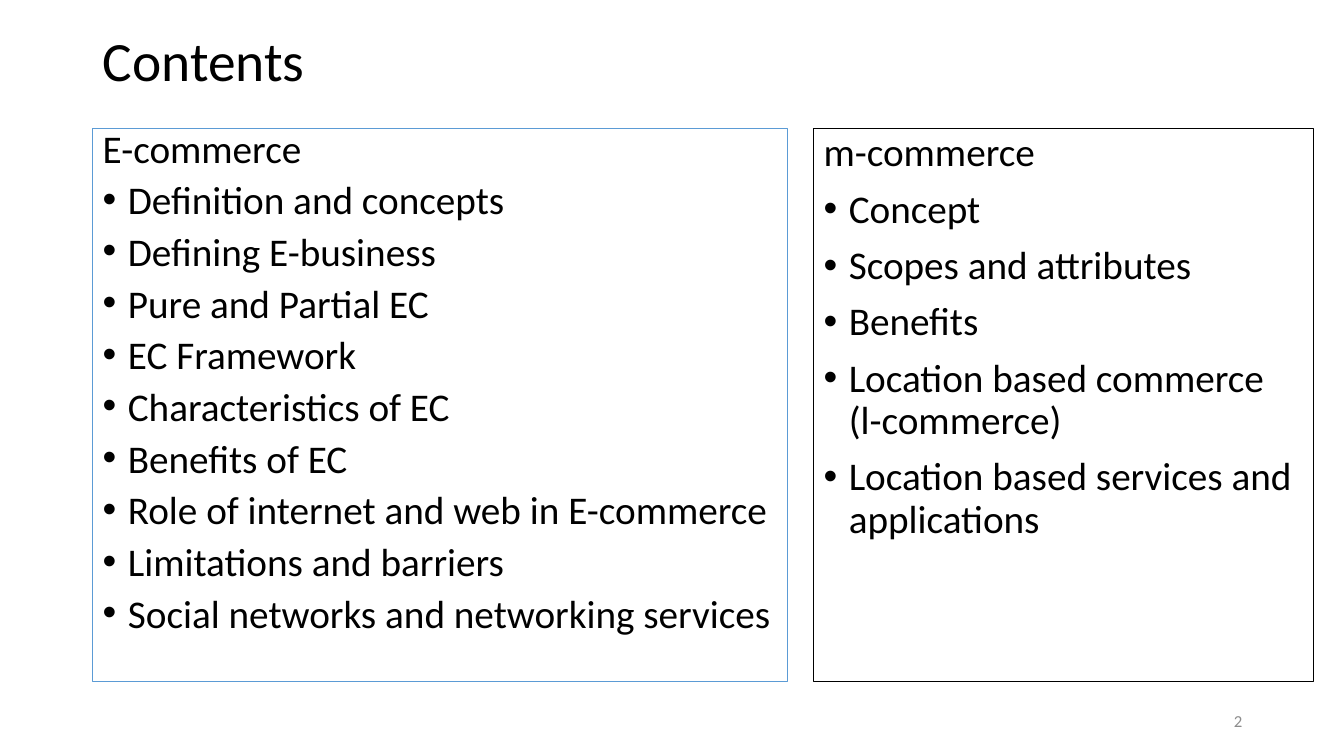
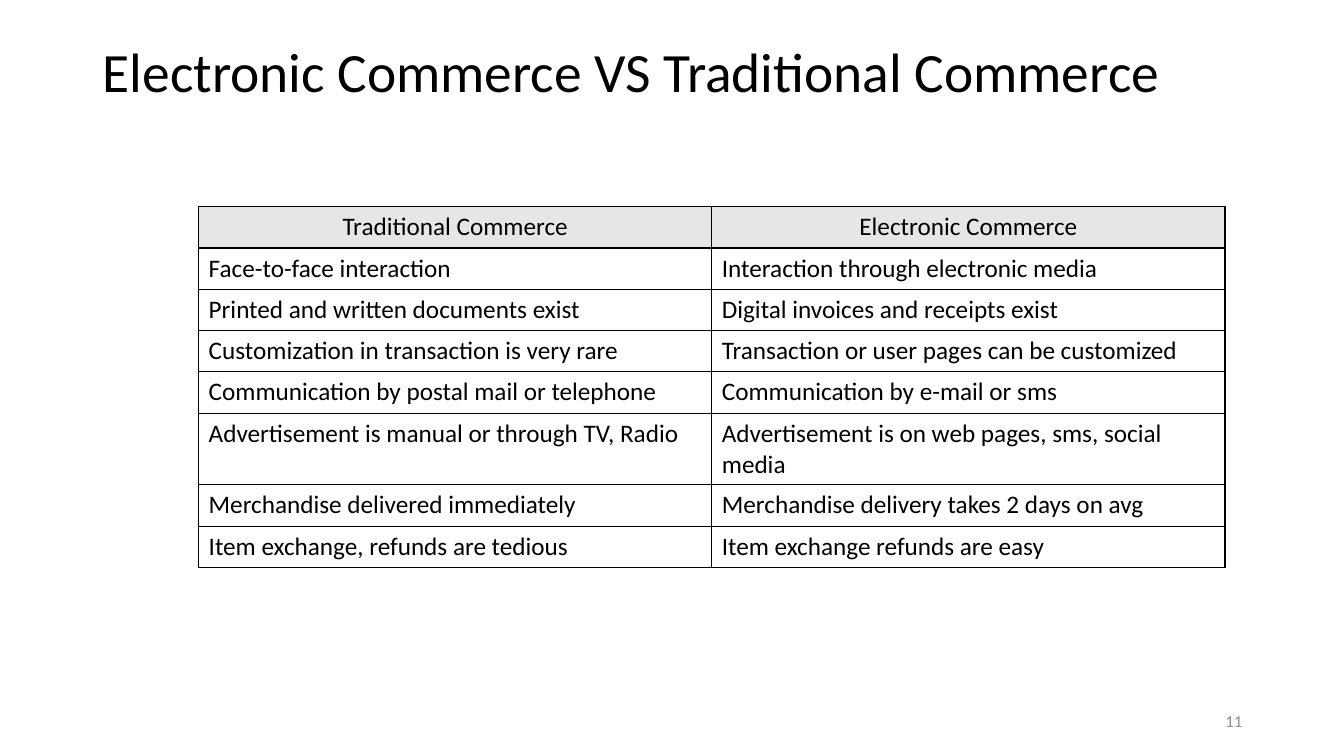
"""Builds two slides that introduce electronic commerce."""
from dataclasses import dataclass

from lxml import etree
from pptx import Presentation
from pptx.dml.color import RGBColor
from pptx.enum.shapes import MSO_SHAPE
from pptx.enum.text import MSO_ANCHOR, MSO_AUTO_SIZE, PP_ALIGN
from pptx.oxml.ns import qn
from pptx.slide import Slide
from pptx.table import _Cell
from pptx.text.text import TextFrame
from pptx.util import Emu, Pt

RECTANGLE = MSO_SHAPE.RECTANGLE
TOP, MIDDLE = MSO_ANCHOR.TOP, MSO_ANCHOR.MIDDLE
LEFT, CENTER, RIGHT = PP_ALIGN.LEFT, PP_ALIGN.CENTER, PP_ALIGN.RIGHT
NO_AUTOFIT = MSO_AUTO_SIZE.NONE

EMU_PER_PX = 9144
FONT = "Calibri"
COLORS = {
    "text": "000000",
    "page_number": "8C8C8C",
    "accent": "5B9BD5",
    "border": "000000",
    "header": "E7E6E6",
}
TITLE_LAYOUT = 5
MARGIN = 92
TITLE_TOP, TITLE_WIDTH = 40, 1150
PANEL_TOP, PANEL_HEIGHT = 127, 549
BULLET_INDENT = 25
TABLE_LEFT, TABLE_TOP = 197, 205
COLUMN_WIDTH, ROW_HEIGHT = 509, 41


@dataclass(frozen=True)
class TopicPanel:
    """An outlined list of topics under a heading."""

    left: int
    width: int
    outline: str
    line_spacing: float
    heading: str
    topics: tuple[str, ...]


PANELS = (
    TopicPanel(MARGIN, 689, "accent", 0.8, "E-commerce", (
        "Definition and concepts",
        "Defining E-business",
        "Pure and Partial EC",
        "EC Framework",
        "Characteristics of EC",
        "Benefits of EC",
        "Role of internet and web in E-commerce",
        "Limitations and barriers",
        "Social networks and networking services",
    )),
    TopicPanel(807, 496, "border", 0.9, "m-commerce", (
        "Concept",
        "Scopes and attributes",
        "Benefits",
        "Location based commerce (l-commerce)",
        "Location based services and applications",
    )),
)

COMPARISON = (
    ("Traditional Commerce", "Electronic Commerce"),
    ("Face-to-face interaction", "Interaction through electronic media"),
    ("Printed and written documents exist", "Digital invoices and receipts exist"),
    ("Customization in transaction is very rare",
     "Transaction or user pages can be customized"),
    ("Communication by postal mail or telephone", "Communication by e-mail or sms"),
    ("Advertisement is manual or through TV, Radio",
     "Advertisement is on web pages, sms, social media"),
    ("Merchandise delivered immediately", "Merchandise delivery takes 2 days on avg"),
    ("Item exchange, refunds are tedious", "Item exchange refunds are easy"),
)


def px(length: int) -> Emu:
    """Turns px into EMU."""
    return Emu(length * EMU_PER_PX)


def rgb(name: str) -> RGBColor:
    """Looks up a palette colour."""
    return RGBColor.from_string(COLORS[name])


def write(frame: TextFrame, text: str, *, size: float, color: str = "text",
          align: PP_ALIGN = LEFT, line_spacing: float = 1.0,
          space_before: int = 0, bullet: bool = False) -> None:
    """Fills the empty first paragraph or appends a new one."""
    first = frame.paragraphs[0]
    paragraph = frame.add_paragraph() if first.runs else first
    paragraph.alignment = align
    paragraph.line_spacing = line_spacing
    paragraph.space_before = Pt(space_before)
    run = paragraph.add_run()
    run.text = text
    run.font.name = FONT
    run.font.size = Pt(size)
    run.font.color.rgb = rgb(color)
    if bullet:
        properties = paragraph._p.get_or_add_pPr()
        properties.set("marL", str(px(BULLET_INDENT)))
        properties.set("indent", str(-px(BULLET_INDENT)))
        etree.SubElement(properties, qn("a:buFont"), typeface="Arial")
        etree.SubElement(properties, qn("a:buChar"), char="•")


def set_frame(frame: TextFrame, anchor: MSO_ANCHOR) -> None:
    """Makes a frame wrap at a fixed size."""
    frame.auto_size = NO_AUTOFIT
    frame.word_wrap = True
    frame.vertical_anchor = anchor


def add_titled_slide(deck: Presentation, title: str, title_height: int,
                     page_number: int) -> Slide:
    """Adds a slide with the shared title and page number."""
    slide = deck.slides.add_slide(deck.slide_layouts[TITLE_LAYOUT])
    heading = slide.shapes.title
    heading.left, heading.top = px(MARGIN), px(TITLE_TOP)
    heading.width, heading.height = px(TITLE_WIDTH), px(title_height)
    set_frame(heading.text_frame, MIDDLE)
    write(heading.text_frame, title, size=39.6, line_spacing=0.9)
    footer = slide.shapes.add_textbox(px(942), px(695), px(300), px(40))
    set_frame(footer.text_frame, MIDDLE)
    write(footer.text_frame, str(page_number), size=12, color="page_number",
          align=RIGHT)
    return slide


def add_panel(slide: Slide, panel: TopicPanel) -> None:
    """Draws one topic panel."""
    box = slide.shapes.add_shape(RECTANGLE, px(panel.left), px(PANEL_TOP),
                                 px(panel.width), px(PANEL_HEIGHT))
    box.shadow.inherit = False
    box.fill.background()
    box.line.color.rgb = rgb(panel.outline)
    box.line.width = Pt(0.75)
    set_frame(box.text_frame, TOP)
    for index, text in enumerate((panel.heading, *panel.topics)):
        write(box.text_frame, text, size=28, line_spacing=panel.line_spacing,
              space_before=10, bullet=index > 0)


def set_borders(cell: _Cell) -> None:
    """Puts a thin line on every side of a cell."""
    properties = cell._tc.get_or_add_tcPr()
    for position, side in enumerate(("a:lnL", "a:lnR", "a:lnT", "a:lnB")):
        line = etree.Element(qn(side), w=str(Pt(1)))
        fill = etree.SubElement(line, qn("a:solidFill"))
        etree.SubElement(fill, qn("a:srgbClr"), val=COLORS["border"])
        properties.insert(position, line)


def add_comparison(slide: Slide) -> None:
    """Draws the comparison table."""
    row_count, column_count = len(COMPARISON), len(COMPARISON[0])
    table = slide.shapes.add_table(
        row_count, column_count, px(TABLE_LEFT), px(TABLE_TOP),
        px(COLUMN_WIDTH * column_count), px(ROW_HEIGHT * row_count)).table
    table.first_row = table.horz_banding = False
    for row_index, row in enumerate(COMPARISON):
        is_header = row_index == 0
        for column_index, text in enumerate(row):
            cell = table.cell(row_index, column_index)
            if is_header:
                cell.fill.solid()
                cell.fill.fore_color.rgb = rgb("header")
            else:
                cell.fill.background()
            set_borders(cell)
            write(cell.text_frame, text, size=18,
                  align=CENTER if is_header else LEFT)


def main() -> None:
    """Builds and saves the deck."""
    deck = Presentation()
    deck.slide_width, deck.slide_height = px(1333), px(750)
    contents = add_titled_slide(deck, "Contents", 46, 2)
    for panel in PANELS:
        add_panel(contents, panel)
    comparison = add_titled_slide(
        deck, "Electronic Commerce VS Traditional Commerce", 67, 11)
    add_comparison(comparison)
    deck.save("out.pptx")


if __name__ == "__main__":
    main()
